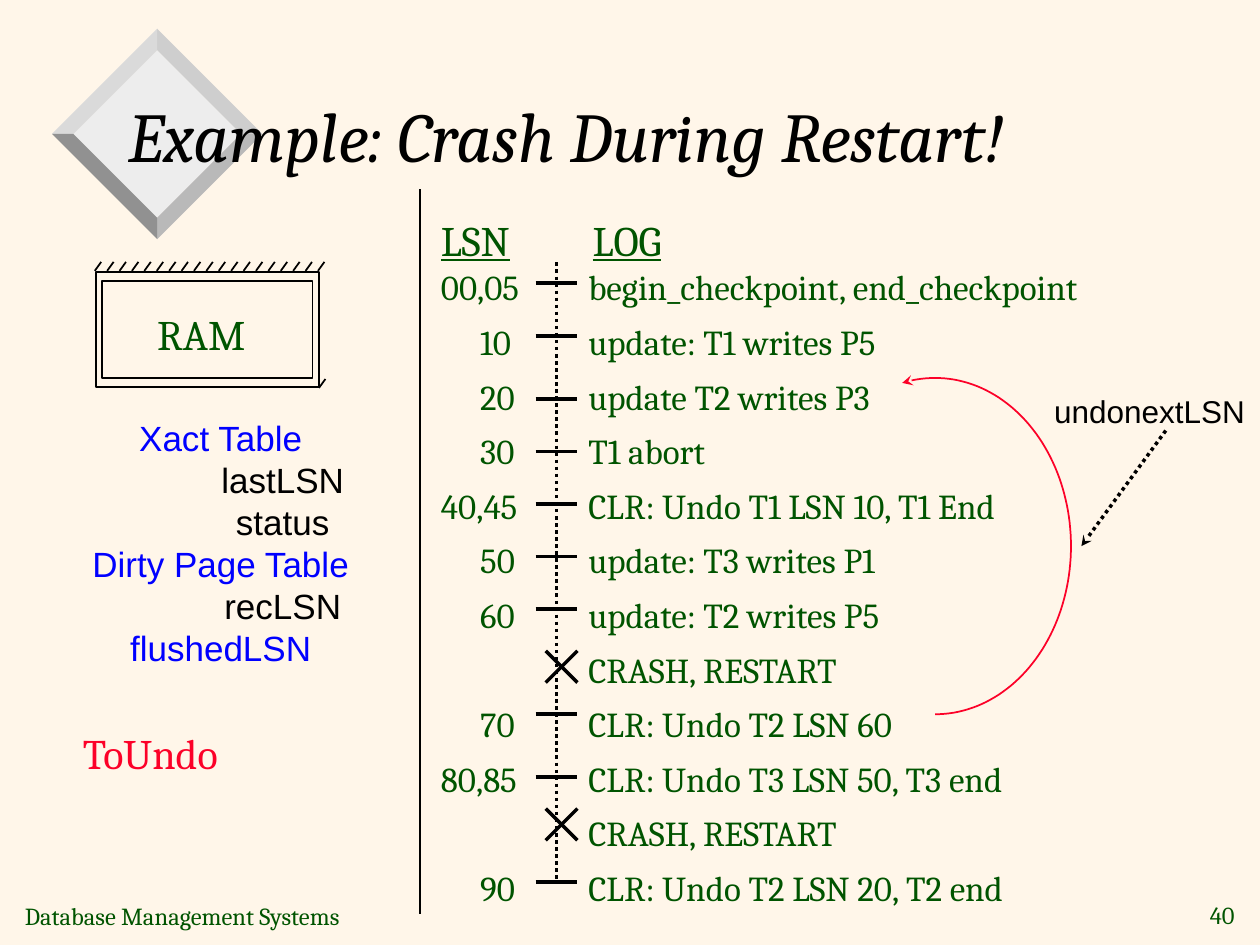
from math import cos, radians, sin

from lxml import etree
from pptx import Presentation
from pptx.dml.color import RGBColor
from pptx.enum.dml import MSO_LINE
from pptx.enum.shapes import MSO_CONNECTOR, MSO_SHAPE
from pptx.enum.text import MSO_ANCHOR, PP_ALIGN
from pptx.oxml.ns import qn
from pptx.util import Cm, Pt

STRAIGHT, RECT = MSO_CONNECTOR.STRAIGHT, MSO_SHAPE.RECTANGLE
DOTTED = MSO_LINE.ROUND_DOT
TOP, MIDDLE = MSO_ANCHOR.TOP, MSO_ANCHOR.MIDDLE
LEFT, CENTER, RIGHT = PP_ALIGN.LEFT, PP_ALIGN.CENTER, PP_ALIGN.RIGHT
SERIF, SANS = "Cambria", "Arial"
COLORS = {
    "paper": "FFF6E9", "ink": "000000", "green": "005400", "blue": "0000FF",
    "red": "FC0128", "face": "EDEDED", "upper_right": "CECECE",
    "upper_left": "DADADA", "lower_right": "B9B9B9", "lower_left": "919191",
}
LOG = [
    ("00,05", "begin_checkpoint, end_checkpoint"),
    ("10", "update: T1 writes P5"),
    ("20", "update T2 writes P3"),
    ("30", "T1 abort"),
    ("40,45", "CLR: Undo T1 LSN 10, T1 End"),
    ("50", "update: T3 writes P1"),
    ("60", "update: T2 writes P5"),
    (None, "CRASH, RESTART"),
    ("70", "CLR: Undo T2 LSN 60"),
    ("80,85", "CLR: Undo T3 LSN 50, T3 end"),
    (None, "CRASH, RESTART"),
    ("90", "CLR: Undo T2 LSN 20, T2 end"),
]
TICKS = [5.71, 6.77, 8.04, 9.1, 10.16, 11.22, 12.28, 14.39, 15.66, 17.78]
CRASHES = [13.12, 16.3]
TABLES = [("Xact Table", False), ("lastLSN", True), ("status", True),
          ("Dirty Page Table", False), ("recLSN", True), ("flushedLSN", False)]
ROW_PITCH = Pt(31.2)


def rgb(name):
    return RGBColor.from_string(COLORS[name])


class Board:
    """Draws styled elements on one slide, with lengths in centimetres."""

    def __init__(self, s):
        self.s = s
        self.shapes = s.shapes
        s.background.fill.solid()
        s.background.fill.fore_color.rgb = rgb("paper")

    def group(self):
        self.shapes = self.s.shapes.add_group_shape().shapes

    def ungroup(self):
        self.shapes = self.s.shapes

    def text(self, box, lines, size, color="green", font=SERIF, align=LEFT,
             anchor=TOP, spacing=None):
        sp = self.shapes.add_textbox(*map(Cm, box))
        tf = sp.text_frame
        tf.word_wrap = True
        tf.vertical_anchor = anchor
        tf.text = "\n".join(lines)
        for p in tf.paragraphs:
            p.alignment = align
            p.line_spacing = spacing
            for r in p.runs:
                r.font.size = Pt(size)
                r.font.name = font
                r.font.color.rgb = rgb(color)
        return tf.paragraphs

    def indent(self, p, width):
        p._p.get_or_add_pPr().set("marL", str(Cm(width)))

    def tab(self, p, position):
        tabs = etree.SubElement(p._p.get_or_add_pPr(), qn("a:tabLst"))
        etree.SubElement(tabs, qn("a:tab"), pos=str(Cm(position)), algn="l")

    def line(self, x1, y1, x2, y2, width=1, dash=None, arrow=False):
        c = self.shapes.add_connector(STRAIGHT, *map(Cm, (x1, y1, x2, y2)))
        c.line.color.rgb = rgb("ink")
        c.line.width = Pt(width)
        if dash:
            c.line.dash_style = dash
        etree.SubElement(c._element.spPr, qn("a:effectLst"))
        if arrow:
            self.arrowhead(c, "a:tailEnd")

    def arrowhead(self, sp, end):
        etree.SubElement(sp.line._get_or_add_ln(), qn(end), type="stealth")

    def frame(self, box):
        sp = self.shapes.add_shape(RECT, *map(Cm, box))
        sp.shadow.inherit = False
        sp.fill.background()
        sp.line.color.rgb = rgb("ink")
        sp.line.width = Pt(1)

    def outline(self, points, closed):
        pts = [(Cm(x), Cm(y)) for x, y in points]
        fb = self.shapes.build_freeform(*pts[0])
        fb.add_line_segments(pts[1:], close=closed)
        sp = fb.convert_to_shape()
        sp.shadow.inherit = False
        return sp

    def facet(self, points, color):
        sp = self.outline(points, True)
        sp.fill.solid()
        sp.fill.fore_color.rgb = rgb(color)
        sp.line.fill.background()

    def arc(self, cx, cy, rx, ry, start, end, color):
        angles = [radians(a) for a in range(start, end + 1, 2)]
        sp = self.outline([(cx + rx * cos(a), cy + ry * sin(a)) for a in angles], False)
        sp.fill.background()
        sp.line.color.rgb = rgb(color)
        sp.line.width = Pt(1)
        self.arrowhead(sp, "a:headEnd")


def draw_diamond(b):
    cx, cy, inner, outer = 3.17, 2.7, 1.69, 2.12
    b.group()
    b.facet([(cx, cy - inner), (cx - inner, cy), (cx, cy + inner), (cx + inner, cy)], "face")
    for dx, dy, color in [(1, -1, "upper_right"), (-1, -1, "upper_left"),
                          (1, 1, "lower_right"), (-1, 1, "lower_left")]:
        b.facet([(cx, cy + dy * inner), (cx, cy + dy * outer),
                 (cx + dx * outer, cy), (cx + dx * inner, cy)], color)
    b.ungroup()


def draw_log(b):
    b.text((11.61, 4.98, 11.33, 13.49), [entry for _, entry in LOG], 20, spacing=1.3)
    b.line(11.22, 5.29, 11.22, 17.78, 2, DOTTED)
    for y in TICKS:
        b.line(10.8, y, 11.64, y, 2)
    heading = b.text((8.64, 4.19, 5.92, 1.27), ["LSN\tLOG"], 24)[0]
    b.tab(heading, 3.06)
    heading.runs[0].font.underline = True

    numbers = [lsn for lsn, _ in LOG if lsn]
    after_crash = [LOG[i + 1][0] for i, (lsn, _) in enumerate(LOG) if not lsn]
    for p in b.text((8.64, 4.98, 2.3, 13.49), numbers, 20, spacing=1.3):
        if "," not in p.text:
            b.indent(p, 0.79)
        if p.text in after_crash:
            p.space_before = ROW_PITCH
    for y in CRASHES:
        b.line(11, y, 11.64, y + 0.64, 2)
        b.line(11.64, y, 11, y + 0.64, 2)


def draw_ram(b):
    b.group()
    b.text((2.92, 6.1, 2.54, 1.27), ["RAM"], 24)
    b.frame((1.93, 5.49, 4.5, 2.31))
    b.frame((2.06, 5.66, 4.24, 1.96))
    hatches = [(1.91 + 0.25 * i, 5.46) for i in range(19)] + [(6.43, 7.82)]
    for x, y in hatches:
        b.line(x, y, x + 0.13, y - 0.18)
    b.ungroup()


def draw_tables(b):
    names = [name for name, _ in TABLES]
    paragraphs = b.text((1.55, 8.28, 5.8, 6.17), names, 20, "blue", SANS, CENTER)
    for p, (_, is_field) in zip(paragraphs, TABLES):
        if is_field:
            b.indent(p, 2.5)
            p.runs[0].font.color.rgb = rgb("ink")


def main():
    prs = Presentation()
    prs.slide_width, prs.slide_height = Cm(25.4), Cm(19.05)
    b = Board(prs.slides.add_slide(prs.slide_layouts[6]))
    draw_diamond(b)
    b.text((0.25, 18.03, 7.44, 0.84), ["Database Management Systems"], 14, anchor=MIDDLE)
    b.text((24, 18.01, 1.14, 0.84), ["40"], 14, align=RIGHT, anchor=MIDDLE)
    title = b.text((2.34, 1.17, 21.59, 3.07), ["Example: Crash During Restart!"],
                   40, "ink", anchor=MIDDLE)[0]
    title.runs[0].font.italic = True
    draw_log(b)
    draw_tables(b)
    b.line(8.47, 3.81, 8.47, 18.42)
    b.text((1.42, 14.55, 3.63, 1.27), ["ToUndo"], 24, "red")
    b.text((21, 7.77, 4.4, 1.02), ["undonextLSN"], 18, "ink", SANS)
    b.line(23.5, 8.68, 21.8, 11.01, 2, DOTTED, arrow=True)
    draw_ram(b)
    b.arc(18.85, 11.01, 2.74, 3.39, -104, 90, "red")
    prs.save("out.pptx")


if __name__ == "__main__":
    main()
